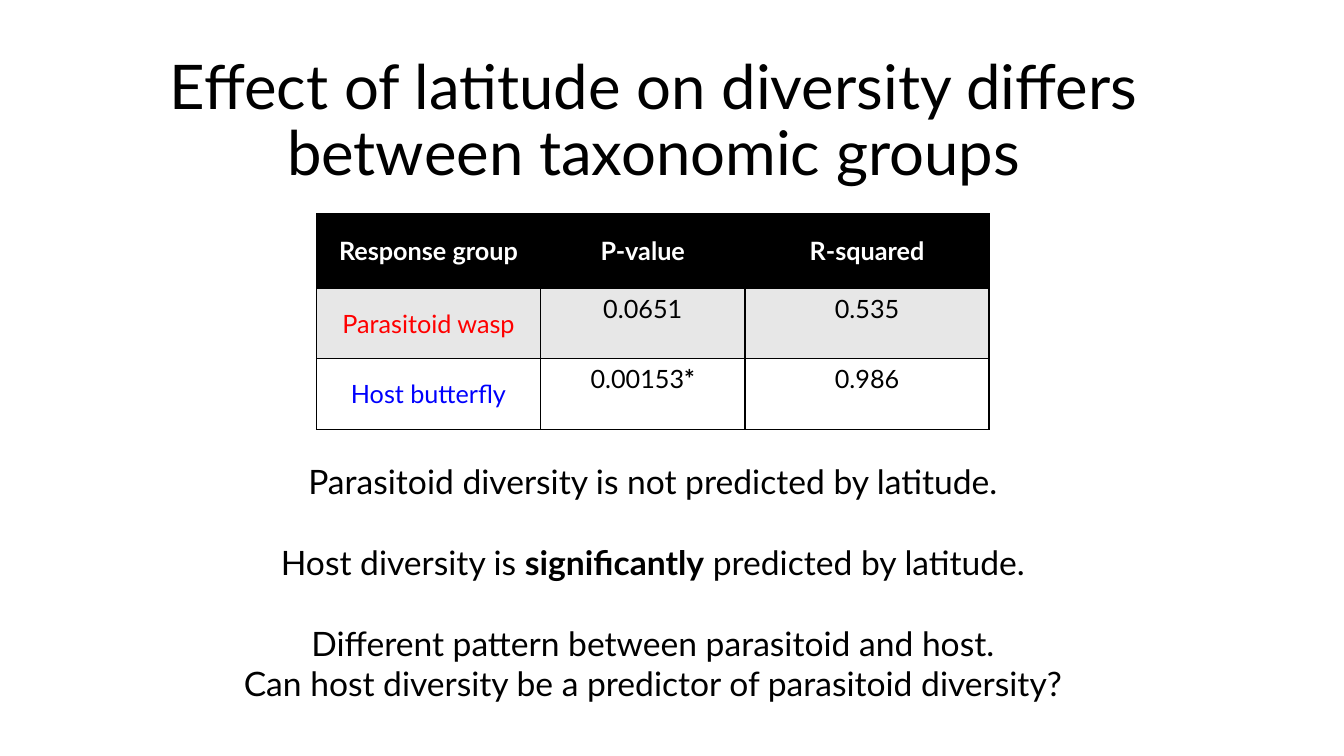
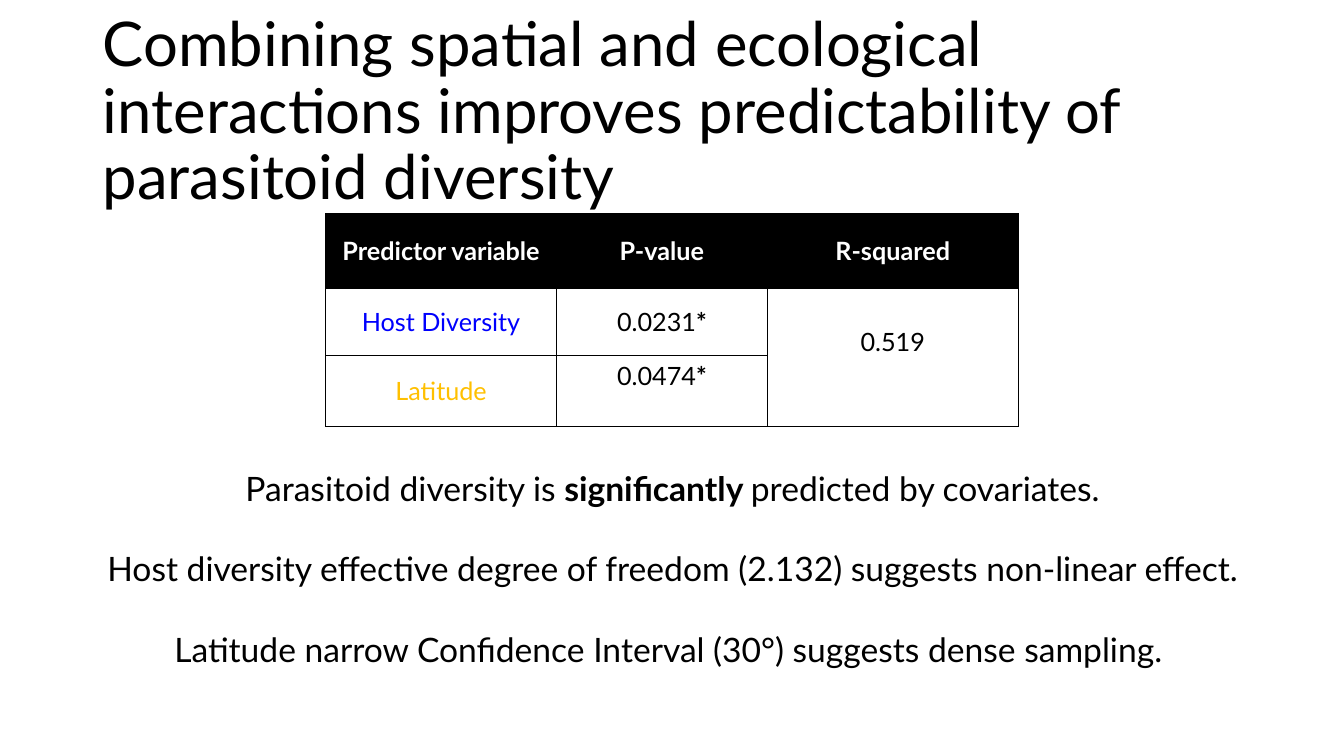
from dataclasses import dataclass
from typing import Optional

from lxml.etree import SubElement
from pptx import Presentation
from pptx.dml.color import RGBColor
from pptx.enum.text import MSO_ANCHOR, MSO_AUTO_SIZE, PP_ALIGN
from pptx.oxml.ns import qn
from pptx.util import Inches, Pt

# Shared look
FONT = "Lato"
BLACK, WHITE, GREY = "000000", "FFFFFF", "E7E7E7"
RED, BLUE, AMBER = "FF0000", "0000FD", "FFC000"
TITLE_SIZE, TABLE_SIZE, BODY_SIZE = 44, 18, 24
BLANK_LINE = 28.8
TABLE_TOP = 2.12
CELL_MARGIN, RAISED_MARGIN = 0.05, 0.35


@dataclass(frozen=True)
class TextRun:
    text: str
    bold: bool = False


@dataclass(frozen=True)
class Cell:
    runs: tuple[TextRun, ...]
    color: str = BLACK
    fill: str = WHITE
    raised: bool = False
    row_span: int = 1


@dataclass(frozen=True)
class Line:
    runs: tuple[TextRun, ...]
    gap: float = BLANK_LINE


@dataclass(frozen=True)
class Box:
    left: float
    top: float
    width: float
    height: float


@dataclass(frozen=True)
class ResultSlide:
    title: str
    title_box: Box
    title_alignment: PP_ALIGN
    table_left: float
    column_widths: tuple[float, ...]
    row_heights: tuple[float, ...]
    rows: tuple[tuple[Optional[Cell], ...], ...]
    body_box: Box
    lines: tuple[Line, ...]


def rgb(color: str) -> RGBColor:
    return RGBColor.from_string(color)


def plain(text: str) -> tuple[TextRun, ...]:
    return (TextRun(text),)


def starred(text: str) -> tuple[TextRun, ...]:
    return (TextRun(text), TextRun("*", bold=True))


def header(*labels: str) -> tuple[Cell, ...]:
    return tuple(Cell((TextRun(label, bold=True),), WHITE, BLACK) for label in labels)


def add_runs(paragraph, runs: tuple[TextRun, ...], size: float, color: str) -> None:
    for item in runs:
        run = paragraph.add_run()
        run.text = item.text
        run.font.name = FONT
        run.font.size = Pt(size)
        run.font.bold = item.bold
        run.font.color.rgb = rgb(color)


def place(shape, box: Box) -> None:
    shape.left, shape.top = Inches(box.left), Inches(box.top)
    shape.width, shape.height = Inches(box.width), Inches(box.height)
    frame = shape.text_frame
    frame.word_wrap = True
    frame.auto_size = MSO_AUTO_SIZE.NONE
    frame.vertical_anchor = MSO_ANCHOR.MIDDLE


def remove_bullet(paragraph) -> None:
    properties = paragraph._p.get_or_add_pPr()
    properties.set("marL", "0")
    properties.set("indent", "0")
    SubElement(properties, qn("a:buNone"))


def add_borders(cell) -> None:
    properties = cell._tc.get_or_add_tcPr()
    for position, side in enumerate(("a:lnL", "a:lnR", "a:lnT", "a:lnB")):
        border = SubElement(properties, qn(side), w=str(Pt(1)))
        fill = SubElement(border, qn("a:solidFill"))
        SubElement(fill, qn("a:srgbClr"), val=BLACK)
        # Borders come before the cell fill
        properties.insert(position, border)


def fill_title(shape, content: ResultSlide) -> None:
    place(shape, content.title_box)
    paragraph = shape.text_frame.paragraphs[0]
    paragraph.alignment = content.title_alignment
    paragraph.line_spacing = 0.9
    add_runs(paragraph, plain(content.title), TITLE_SIZE, BLACK)


def fill_body(shape, content: ResultSlide) -> None:
    place(shape, content.body_box)
    frame = shape.text_frame
    frame.margin_top = 0
    for index, line in enumerate(content.lines):
        paragraph = frame.add_paragraph() if index else frame.paragraphs[0]
        paragraph.alignment = PP_ALIGN.CENTER
        paragraph.space_before = Pt(line.gap if index else 0)
        remove_bullet(paragraph)
        add_runs(paragraph, line.runs, BODY_SIZE, BLACK)


def fill_cell(cell, content: Cell) -> None:
    cell.vertical_anchor = MSO_ANCHOR.MIDDLE
    cell.margin_bottom = Inches(RAISED_MARGIN if content.raised else CELL_MARGIN)
    paragraph = cell.text_frame.paragraphs[0]
    paragraph.alignment = PP_ALIGN.CENTER
    add_runs(paragraph, content.runs, TABLE_SIZE, content.color)


def add_result_table(slide, content: ResultSlide) -> None:
    table = slide.shapes.add_table(
        len(content.rows), len(content.column_widths),
        Inches(content.table_left), Inches(TABLE_TOP),
        Inches(sum(content.column_widths)), Inches(sum(content.row_heights)),
    ).table
    for column, width in zip(table.columns, content.column_widths):
        column.width = Inches(width)
    for row, height in zip(table.rows, content.row_heights):
        row.height = Inches(height)
    for row_index, row in enumerate(content.rows):
        for column_index, item in enumerate(row):
            cell = table.cell(row_index, column_index)
            cell.fill.solid()
            cell.fill.fore_color.rgb = rgb(item.fill if item else WHITE)
            add_borders(cell)
            if item is None:
                continue
            fill_cell(cell, item)
            if item.row_span > 1:
                cell.merge(table.cell(row_index + item.row_span - 1, column_index))


def add_result_slide(presentation, content: ResultSlide) -> None:
    slide = presentation.slides.add_slide(presentation.slide_layouts[1])
    fill_title(slide.shapes.title, content)
    add_result_table(slide, content)
    fill_body(slide.placeholders[1], content)


SLIDES = (
    # Latitude as the only predictor
    ResultSlide(
        title="Effect of latitude on diversity differs between taxonomic groups",
        title_box=Box(0.99, 0.31, 10.99, 1.81),
        title_alignment=PP_ALIGN.CENTER,
        table_left=3.14,
        column_widths=(2.22, 2.03, 2.42),
        row_heights=(0.74, 0.7, 0.7),
        rows=(
            header("Response group", "P-value", "R-squared"),
            (
                Cell(plain("Parasitoid wasp"), RED, GREY),
                Cell(plain("0.0651"), fill=GREY, raised=True),
                Cell(plain("0.535"), fill=GREY, raised=True),
            ),
            (
                Cell(plain("Host butterfly"), BLUE),
                Cell(starred("0.00153"), raised=True),
                Cell(plain("0.986"), raised=True),
            ),
        ),
        body_box=Box(1.79, 4.54, 9.37, 2.52),
        lines=(
            Line(plain("Parasitoid diversity is not predicted by latitude.")),
            Line((
                TextRun("Host diversity is "),
                TextRun("significantly", bold=True),
                TextRun(" predicted by latitude."),
            )),
            Line(plain("Different pattern between parasitoid and host.")),
            Line(plain("Can host diversity be a predictor of parasitoid diversity?"), gap=0),
        ),
    ),
    # Latitude and host diversity together
    ResultSlide(
        title="Combining spatial and ecological interactions improves "
              "predictability of parasitoid diversity",
        title_box=Box(0.92, 0.4, 11.5, 1.45),
        title_alignment=PP_ALIGN.LEFT,
        table_left=3.23,
        column_widths=(2.29, 2.09, 2.49),
        row_heights=(0.74, 0.67, 0.7),
        rows=(
            header("Predictor variable", "P-value", "R-squared"),
            (
                Cell(plain("Host Diversity"), BLUE),
                Cell(starred("0.0231")),
                Cell(plain("0.519"), raised=True, row_span=2),
            ),
            (
                Cell(plain("Latitude"), AMBER),
                Cell(starred("0.0474"), raised=True),
                None,
            ),
        ),
        body_box=Box(0.34, 4.63, 12.66, 2.07),
        lines=(
            Line((
                TextRun("Parasitoid diversity is "),
                TextRun("significantly ", bold=True),
                TextRun("predicted by covariates."),
            )),
            Line(plain("Host diversity effective degree of freedom (2.132) "
                       "suggests non-linear effect.")),
            Line(plain("Latitude narrow Confidence Interval (30°) suggests dense sampling. ")),
        ),
    ),
)


def main() -> None:
    presentation = Presentation()
    presentation.slide_width = Inches(13.33)
    presentation.slide_height = Inches(7.5)
    for content in SLIDES:
        add_result_slide(presentation, content)
    presentation.save("out.pptx")


if __name__ == "__main__":
    main()
